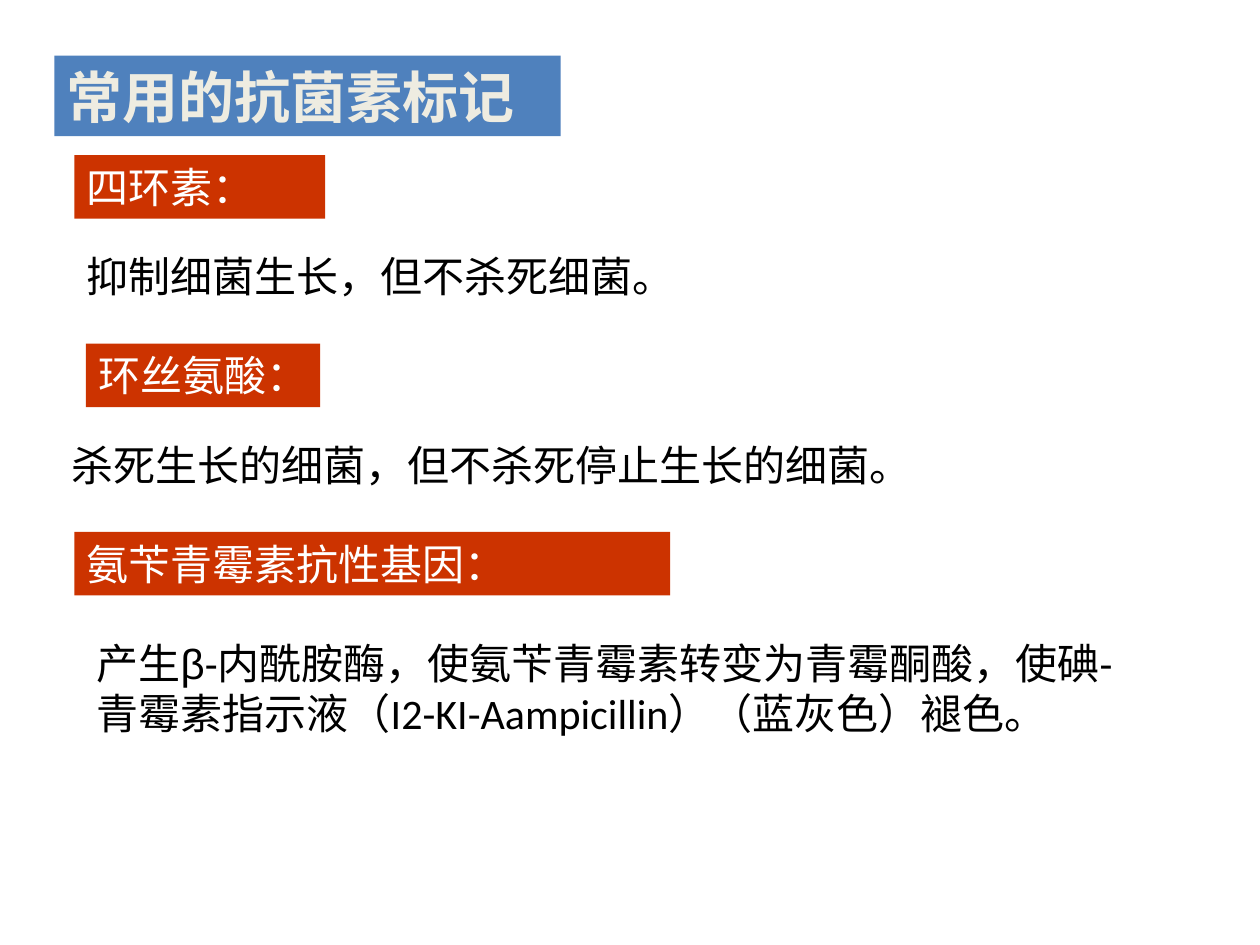
from dataclasses import dataclass

from pptx import Presentation
from pptx.dml.color import RGBColor
from pptx.enum.shapes import MSO_SHAPE
from pptx.enum.text import MSO_ANCHOR, MSO_AUTO_SIZE, PP_ALIGN
from pptx.slide import Slide
from pptx.util import Pt


@dataclass(frozen=True)
class Theme:
    title_fill: RGBColor = RGBColor(0x4F, 0x81, 0xBD)
    title_text: RGBColor = RGBColor(0xEE, 0xEC, 0xE1)
    label_fill: RGBColor = RGBColor(0xCC, 0x33, 0x00)
    label_text: RGBColor = RGBColor(0xFF, 0xFF, 0xFF)
    body_text: RGBColor = RGBColor(0, 0, 0)
    font: str = "Calibri"
    greek_font: str = "Arial"
    title_size: float = 32
    body_size: float = 24


@dataclass(frozen=True)
class Box:
    text: str
    left: float
    width: float
    height: float = 36.3
    wrap: bool = True


@dataclass(frozen=True)
class Marker:
    label: Box
    effect: Box
    effect_offset: float = 51.2


THEME = Theme()
FIRST_LABEL_TOP = 88.6
MARKER_PITCH = 107.7
GREEK = "β"

TITLE = Box("常用的抗菌素标记", 31, 289.4, 46)
MARKERS = [
    Marker(Box("四环素：", 42.5, 143.3),
           Box("抑制细菌生长，但不杀死细菌。", 42.5, 476)),
    Marker(Box("环丝氨酸：", 49, 134, wrap=False),
           Box("杀死生长的细菌，但不杀死停止生长的细菌。", 33.8, 494, wrap=False)),
    Marker(Box("氨苄青霉素抗性基因：", 42.5, 340.5),
           Box("产生β-内酰胺酶，使氨苄青霉素转变为青霉酮酸，使碘-"
               "青霉素指示液（I2-KI-Aampicillin）（蓝灰色）褪色。", 48.2, 617.8, 65),
           effect_offset=56.7),
]


def write_text(shape, box: Box, color: RGBColor, size: float, bold: bool = False) -> None:
    """Fill a shape with one left-aligned paragraph, Greek letters in their own font."""
    frame_format = {
        "word_wrap": box.wrap,
        "margin_left": Pt(7.2), "margin_right": Pt(7.2),
        "margin_top": Pt(3.6), "margin_bottom": Pt(3.6),
        "vertical_anchor": MSO_ANCHOR.MIDDLE if bold else MSO_ANCHOR.TOP,
        "auto_size": MSO_AUTO_SIZE.NONE if bold else MSO_AUTO_SIZE.SHAPE_TO_FIT_TEXT,
    }
    for name, value in frame_format.items():
        setattr(shape.text_frame, name, value)
    paragraph = shape.text_frame.paragraphs[0]
    paragraph.alignment = PP_ALIGN.LEFT
    before, greek, after = box.text.partition(GREEK)
    for text, font in ((before, THEME.font), (greek, THEME.greek_font), (after, THEME.font)):
        if not text:
            continue
        run = paragraph.add_run()
        run.text = text
        run.font.color.rgb = color
        for name, value in {"name": font, "size": Pt(size), "bold": bold}.items():
            setattr(run.font, name, value)


def add_banner(slide: Slide, box: Box, top: float, fill: RGBColor, color: RGBColor,
               size: float, bold: bool = False) -> None:
    shape = slide.shapes.add_shape(MSO_SHAPE.RECTANGLE, Pt(box.left), Pt(top),
                                   Pt(box.width), Pt(box.height))
    shape.shadow.inherit = False
    shape.fill.solid()
    shape.fill.fore_color.rgb = fill
    shape.line.fill.background()
    write_text(shape, box, color, size, bold)


def add_marker(slide: Slide, marker: Marker, top: float) -> None:
    add_banner(slide, marker.label, top, THEME.label_fill, THEME.label_text, THEME.body_size)
    effect = marker.effect
    shape = slide.shapes.add_textbox(Pt(effect.left), Pt(top + marker.effect_offset),
                                     Pt(effect.width), Pt(effect.height))
    write_text(shape, effect, THEME.body_text, THEME.body_size)


def main() -> None:
    presentation = Presentation()
    presentation.slide_width, presentation.slide_height = Pt(720), Pt(540)
    slide = presentation.slides.add_slide(presentation.slide_layouts[6])

    # Title banner
    add_banner(slide, TITLE, 31.8, THEME.title_fill, THEME.title_text,
               THEME.title_size, bold=True)

    # Antibiotic labels, each with its effect below
    for index, marker in enumerate(MARKERS):
        add_marker(slide, marker, FIRST_LABEL_TOP + index * MARKER_PITCH)

    presentation.save("out.pptx")


if __name__ == "__main__":
    main()
